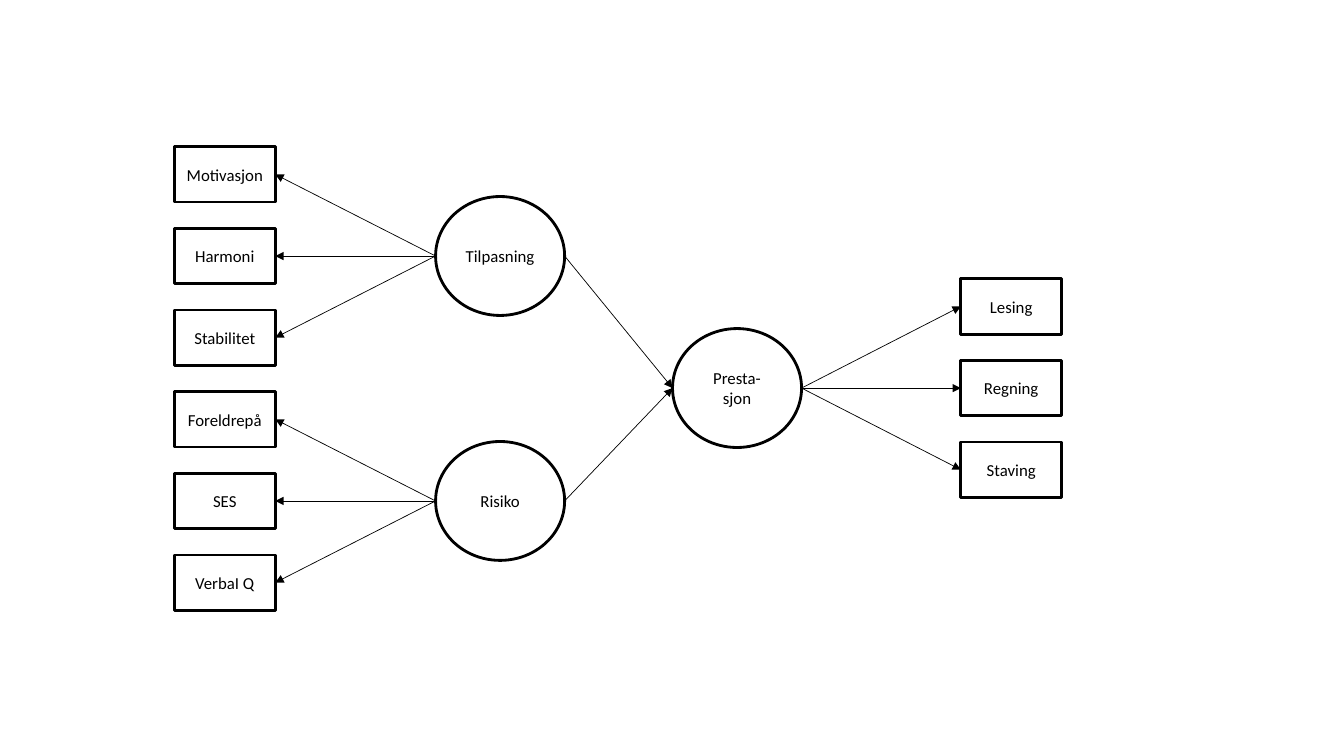
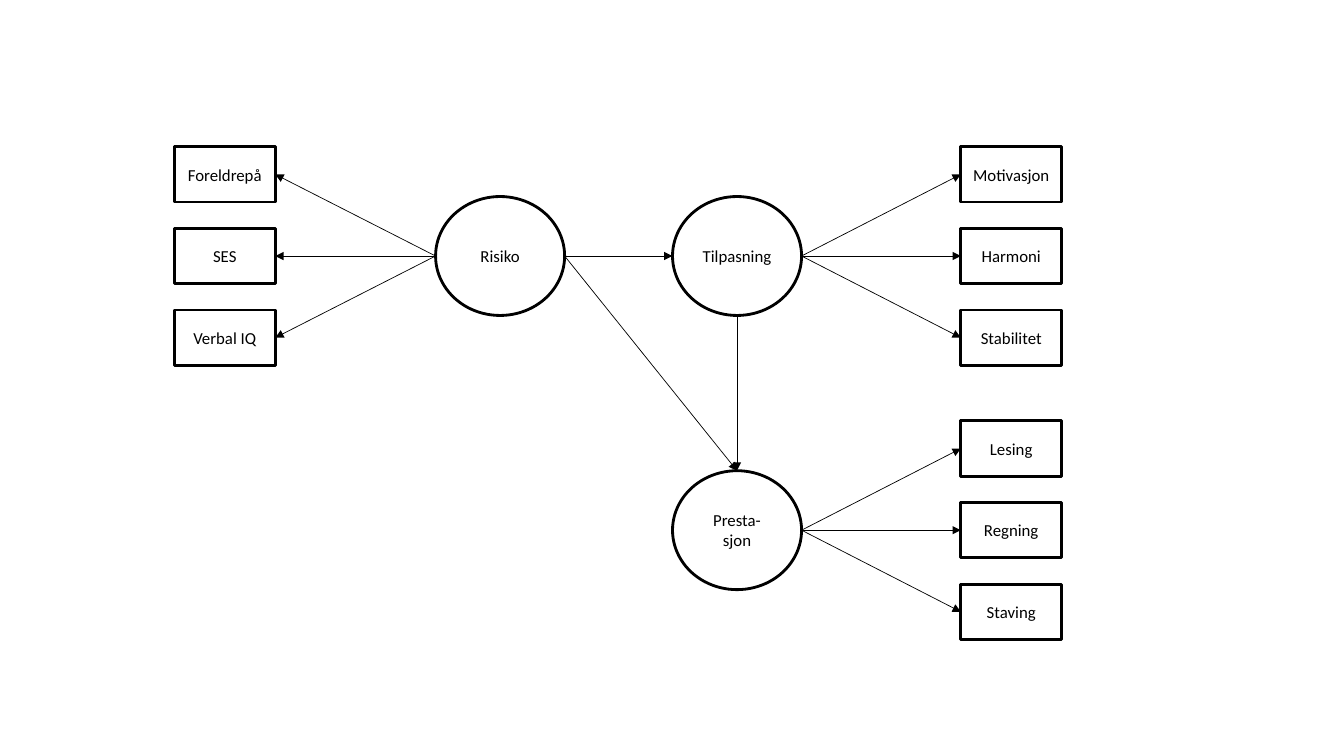
"""Builds two path diagrams of factors (ovals) and their indicators (boxes)."""
from lxml.etree import SubElement
from pptx import Presentation
from pptx.dml.color import RGBColor
from pptx.enum.shapes import MSO_CONNECTOR, MSO_SHAPE
from pptx.enum.text import MSO_ANCHOR, PP_ALIGN
from pptx.oxml.ns import qn
from pptx.util import Inches, Pt

BLACK = RGBColor(0x00, 0x00, 0x00)
FONT = {"name": "Calibri", "size": Pt(12)}
BOX_WIDTH, BOX_HEIGHT = 1, 0.55
OVAL_WIDTH, OVAL_HEIGHT = 1.28, 1.18
ROW_PITCH = 0.81
LEFT_OVALS, RIGHT_OVALS = 4.96, 7.31
LEFT_BOXES, RIGHT_BOXES = 2.23, 10.03
UPPER, MIDDLE, LOWER, LOWEST = 2.54, 3.85, 4.97, 5.26

ADAPTATION = ("Motivasjon", "Harmoni", "Stabilitet")
ACHIEVEMENT = ("Lesing", "Regning", "Staving")

DIAGRAMS = [
    {
        "factors": {
            "Tilpasning": (LEFT_OVALS, UPPER, LEFT_BOXES, ADAPTATION),
            "Risiko": (LEFT_OVALS, LOWER, LEFT_BOXES, ("Foreldrepå", "SES", "VerbaI Q")),
            "Presta-sjon": (RIGHT_OVALS, MIDDLE, RIGHT_BOXES, ACHIEVEMENT),
        },
        "paths": [
            ("Tilpasning", "right", "Presta-sjon", "left"),
            ("Risiko", "right", "Presta-sjon", "left"),
        ],
    },
    {
        "factors": {
            "Risiko": (LEFT_OVALS, UPPER, LEFT_BOXES, ("Foreldrepå", "SES", "Verbal IQ")),
            "Tilpasning": (RIGHT_OVALS, UPPER, RIGHT_BOXES, ADAPTATION),
            "Presta-sjon": (RIGHT_OVALS, LOWEST, RIGHT_BOXES, ACHIEVEMENT),
        },
        "paths": [
            ("Risiko", "right", "Tilpasning", "left"),
            ("Risiko", "right", "Presta-sjon", "top"),
            ("Tilpasning", "bottom", "Presta-sjon", "top"),
        ],
    },
]


def add_node(slide, kind, text, center_x, center_y, width, height):
    """Draw a labelled outline and return the middle of each of its sides."""
    left, top = center_x - width / 2, center_y - height / 2
    shape = slide.shapes.add_shape(kind, *map(Inches, (left, top, width, height)))
    shape.shadow.inherit = False
    shape.fill.background()
    shape.line.color.rgb = BLACK
    shape.line.width = Pt(2)
    frame = shape.text_frame
    frame.word_wrap = True
    frame.vertical_anchor = MSO_ANCHOR.MIDDLE
    paragraph = frame.paragraphs[0]
    paragraph.alignment = PP_ALIGN.CENTER
    run = paragraph.add_run()
    run.text = text
    run.font.color.rgb = BLACK
    for attribute, value in FONT.items():
        setattr(run.font, attribute, value)
    return {
        "left": (left, center_y),
        "right": (left + width, center_y),
        "top": (center_x, top),
        "bottom": (center_x, top + height),
    }


def add_arrow(slide, start, end):
    """Draw a thin straight arrow between two points."""
    arrow = slide.shapes.add_connector(MSO_CONNECTOR.STRAIGHT, *map(Inches, start + end))
    arrow.line.color.rgb = BLACK
    arrow.line.width = Pt(0.5)
    SubElement(arrow.line._get_or_add_ln(), qn("a:tailEnd"), type="triangle")
    SubElement(arrow._element.spPr, qn("a:effectLst"))


presentation = Presentation()
presentation.slide_width = Inches(13.33)
presentation.slide_height = Inches(7.5)
blank_layout = presentation.slide_layouts[6]

for diagram in DIAGRAMS:
    slide = presentation.slides.add_slide(blank_layout)
    ovals = {}
    for name, (oval_x, oval_y, box_x, indicators) in diagram["factors"].items():
        oval = add_node(slide, MSO_SHAPE.OVAL, name, oval_x, oval_y, OVAL_WIDTH, OVAL_HEIGHT)
        ovals[name] = oval
        near, far = ("left", "right") if box_x < oval_x else ("right", "left")
        for row, indicator in enumerate(indicators, start=-1):
            box_y = oval_y + row * ROW_PITCH
            box = add_node(slide, MSO_SHAPE.RECTANGLE, indicator, box_x, box_y, BOX_WIDTH, BOX_HEIGHT)
            add_arrow(slide, oval[near], box[far])
    for source, source_side, target, target_side in diagram["paths"]:
        add_arrow(slide, ovals[source][source_side], ovals[target][target_side])

presentation.save("out.pptx")
